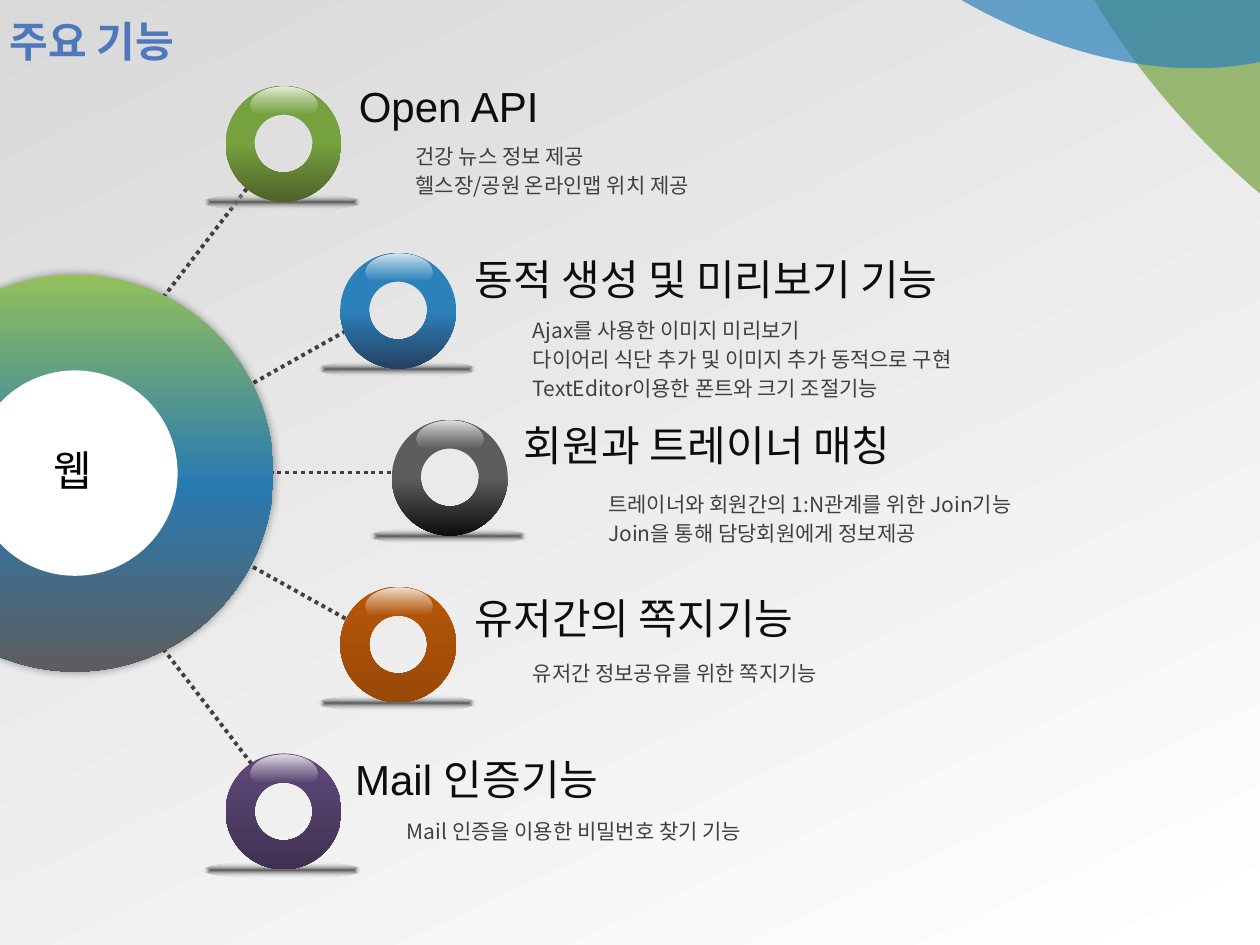
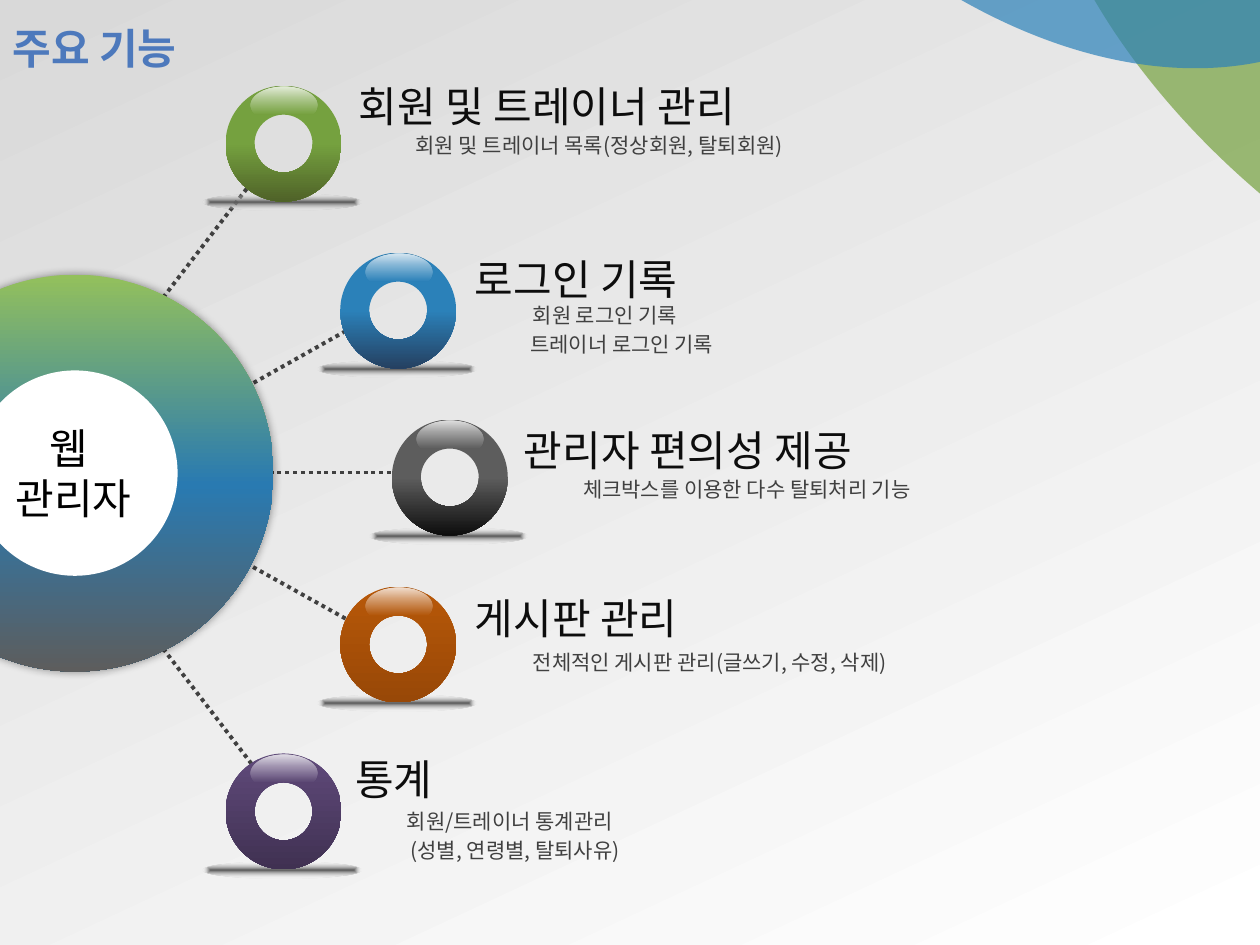
import pptx
import pptx.dml.color
import pptx.enum.dml
import pptx.enum.shapes
import pptx.enum.text
import pptx.oxml.ns
import pptx.util
from lxml import etree

Inches = pptx.util.Inches
qn = pptx.oxml.ns.qn
rgb = pptx.dml.color.RGBColor.from_string
ELLIPSE = pptx.enum.shapes.MSO_SHAPE.OVAL
DONUT = pptx.enum.shapes.MSO_SHAPE.DONUT
ALIGN = pptx.enum.text.PP_ALIGN

LATIN_FONT = "Arial"
KOREAN_FONT = "Noto Sans CJK KR"
BLACK, INK, GREY, TITLE_BLUE = "000000", "0D0D0D", "404040", "4D79BC"

# Gradient stops: position in percent, colour, opacity in percent
HUB_STOPS = [(0, "93C05C", 100), (53, "297AB1", 100), (100, "5D5D5D", 100)]
GROUND_STOPS = [(0, "595959", 100), (100, "FFFFFF", 0)]
GLOSS_STOPS = [(0, "FFFFFF", 82), (30, "FFFFFF", 44), (75, "FFFFFF", 0)]

CORNER_ELLIPSES = [
    (7.67, -2.64, 8.33, 4.95, 36.6, "75A13F"),
    (5.28, -7.65, 5.86, 8.66, 142.1, "2B81B9"),
]
SPOKES = [
    (1.22, 2.46, 2.01, 1.43),
    (1.22, 5.05, 2.01, 6.08),
    (1.85, 3.13, 2.81, 2.59),
    (2.14, 3.75, 3.33, 3.75),
    (1.9, 4.44, 2.85, 4.97),
]
# Left edge, upper colour, where the shading starts, lower colour
RINGS = [
    (1.79, "75A13F", 50, "4F6228"),
    (2.7, "2B81B9", 50, "254061"),
    (3.11, "5D5D5D", 50, "0D0D0D"),
    (2.7, "B85808", 0, "984807"),
    (1.79, "604A7B", 0, "403152"),
]
RING_TOP, RING_STEP, RING_SIZE = 0.68, 1.325, 0.92

# Text entries: left, top, width, text
SLIDES = [
    {
        "title_at": (-0.02, -0.03),
        "hub": (0.31, 3.48, 0.54, 0.5, ["웹"]),
        "headings": [
            (2.75, 0.59, 1.66, "Open API"),
            (3.67, 1.96, 4.38, "동적 생성 및 미리보기 기능"),
            (4.06, 3.28, 3.47, "회원과 트레이너 매칭"),
            (3.67, 4.65, 3.01, "유저간의 쪽지기능"),
            (2.72, 5.93, 2.32, "Mail 인증기능"),
        ],
        "details": [
            (3.2, 1.09, 1.79, "건강 뉴스 정보 제공"),
            (3.2, 1.32, 2.53, "헬스장/공원 온라인맵 위치 제공"),
            (4.13, 2.47, 2.55, "Ajax를 사용한 이미지 미리보기"),
            (4.13, 2.7, 3.99, "다이어리 식단 추가 및 이미지 추가 동적으로 구현"),
            (4.13, 2.93, 3.3, "TextEditor이용한 폰트와 크기 조절기능"),
            (4.73, 3.85, 3.69, "트레이너와 회원간의 1:N관계를 위한 Join기능"),
            (4.73, 4.08, 2.87, "Join을 통해 담당회원에게 정보제공"),
            (4.13, 5.19, 2.74, "유저간 정보공유를 위한 쪽지기능"),
            (3.13, 6.45, 3.18, "Mail 인증을 이용한 비밀번호 찾기 기능"),
        ],
        "wrapped": [],
    },
    {
        "title_at": (0, 0.02),
        "hub": (-0.02, 3.3, 1.21, 0.91, ["웹 ", "관리자"]),
        "headings": [
            (2.75, 0.59, 3.59, "회원 및 트레이너 관리"),
            (3.67, 1.96, 2, "로그인 기록"),
            (4.06, 3.32, 3.13, "관리자 편의성 제공"),
            (3.67, 4.65, 2, "게시판 관리"),
            (2.72, 5.93, 0.88, "통계"),
        ],
        "details": [
            (3.2, 1, 3.44, "회원 및 트레이너 목록(정상회원, 탈퇴회원)"),
            (4.13, 2.35, 1.5, "회원 로그인 기록"),
            (4.11, 2.58, 1.9, "트레이너 로그인 기록"),
            (4.53, 3.73, 3.13, "체크박스를 이용한 다수 탈퇴처리 기능"),
            (4.13, 5.11, 3.31, "전체적인 게시판 관리(글쓰기, 수정, 삭제)"),
            (3.13, 6.37, 2.01, "회원/트레이너 통계관리"),
        ],
        "wrapped": [(3.16, 6.6, 2.01, "(성별, 연령별, 탈퇴사유)")],
    },
]


def add_filled_shape(slide, kind, left, top, width, height, stops, radial=False):
    """Add a shape without outline; one stop gives a plain fill, more a gradient."""
    shape = slide.shapes.add_shape(
        kind, Inches(left), Inches(top), Inches(width), Inches(height))
    shape.shadow.inherit = False
    shape.line.fill.background()
    shape.fill.solid()
    shape.fill.fore_color.rgb = rgb(stops[0][1])
    properties = shape._element.spPr
    solid = properties.find(qn("a:solidFill"))
    if len(stops) == 1:
        etree.SubElement(solid[0], qn("a:alpha"), val=str(stops[0][2] * 1000))
        return shape
    gradient = etree.Element(qn("a:gradFill"), rotWithShape="1")
    stop_list = etree.SubElement(gradient, qn("a:gsLst"))
    for position, colour, opacity in stops:
        stop = etree.SubElement(stop_list, qn("a:gs"), pos=str(position * 1000))
        tone = etree.SubElement(stop, qn("a:srgbClr"), val=colour)
        etree.SubElement(tone, qn("a:alpha"), val=str(opacity * 1000))
    if radial:
        centre = etree.SubElement(gradient, qn("a:path"))
        centre.set("path", "shape")
        etree.SubElement(centre, qn("a:fillToRect"),
                         l="50000", t="50000", r="50000", b="50000")
    else:
        etree.SubElement(gradient, qn("a:lin"), ang="5400000", scaled="0")
    properties.replace(solid, gradient)
    return shape


def add_text(slide, left, top, width, height, lines, size, colour,
             font=LATIN_FONT, bold=False, align=ALIGN.LEFT, wrap=False):
    box = slide.shapes.add_textbox(
        Inches(left), Inches(top), Inches(width), Inches(height))
    frame = box.text_frame
    frame.word_wrap = wrap
    frame.auto_size = pptx.enum.text.MSO_AUTO_SIZE.SHAPE_TO_FIT_TEXT
    for index, line in enumerate(lines):
        paragraph = frame.add_paragraph() if index else frame.paragraphs[0]
        paragraph.alignment = align
        run = paragraph.add_run()
        run.text = line
        run.font.size = pptx.util.Pt(size)
        run.font.bold = bold
        run.font.name = font
        run.font.color.rgb = rgb(colour)
        etree.SubElement(run._r.get_or_add_rPr(), qn("a:ea"), typeface=KOREAN_FONT)
    return box


presentation = pptx.Presentation()
presentation.slide_width = Inches(10)
presentation.slide_height = Inches(7.5)

for content in SLIDES:
    slide = presentation.slides.add_slide(presentation.slide_layouts[6])

    # Background and corner
    background = slide.background.fill
    background.gradient()
    background.gradient_angle = 295
    for stop, colour in zip(background.gradient_stops, ["D9D9D9", "FFFFFF"]):
        stop.color.rgb = rgb(colour)
    for left, top, width, height, rotation, colour in CORNER_ELLIPSES:
        ellipse = add_filled_shape(
            slide, ELLIPSE, left, top, width, height, [(0, colour, 70)])
        ellipse.rotation = rotation

    # Dotted spokes from the hub to the rings
    for spoke in SPOKES:
        connector = slide.shapes.add_connector(
            pptx.enum.shapes.MSO_CONNECTOR.STRAIGHT, *map(Inches, spoke))
        connector.line.color.rgb = rgb(GREY)
        connector.line.width = pptx.util.Pt(2.25)
        connector.line.dash_style = pptx.enum.dml.MSO_LINE.ROUND_DOT
        etree.SubElement(connector._element.spPr, qn("a:effectLst"))

    # Hub
    hub = add_filled_shape(slide, DONUT, -0.98, 2.18, 3.15, 3.15, HUB_STOPS)
    shadow = etree.SubElement(
        hub._element.spPr.find(qn("a:effectLst")), qn("a:outerShdw"),
        blurRad=str(pptx.util.Pt(5)), dist="0", dir="0", algn="ctr", rotWithShape="0")
    shadow_colour = etree.SubElement(shadow, qn("a:srgbClr"), val=BLACK)
    etree.SubElement(shadow_colour, qn("a:alpha"), val="40000")
    add_filled_shape(slide, ELLIPSE, -0.22, 2.94, 1.63, 1.63, [(0, "FFFFFF", 100)])
    add_text(slide, *content["hub"], 24, BLACK, align=ALIGN.CENTER)

    # Rings, each with a ground shadow and a gloss
    for index, (left, upper, shade_start, lower) in enumerate(RINGS):
        top = RING_TOP + index * RING_STEP
        ring_stops = [(0, upper, 100), (100, lower, 100)]
        if shade_start:
            ring_stops.insert(1, (shade_start, upper, 100))
        add_filled_shape(slide, ELLIPSE, left - 0.18, top + 0.86, 1.26, 0.13,
                         GROUND_STOPS, radial=True)
        add_filled_shape(slide, DONUT, left, top, RING_SIZE, RING_SIZE, ring_stops)
        add_filled_shape(slide, ELLIPSE, left + 0.2, top + 0.01, 0.53, 0.29, GLOSS_STOPS)

    # Texts
    for left, top, width, text in content["headings"]:
        add_text(slide, left, top, width, 0.5, [text], 24, INK)
    for group in ("details", "wrapped"):
        for left, top, width, text in content[group]:
            add_text(slide, left, top, width, 0.3, [text], 12, GREY,
                     font=KOREAN_FONT, wrap=group == "wrapped")
    title = add_text(slide, *content["title_at"], 9.29, 0.71, ["주요 기능"], 24,
                     TITLE_BLUE, bold=True, wrap=True)
    title.text_frame.auto_size = pptx.enum.text.MSO_AUTO_SIZE.NONE
    title.text_frame.vertical_anchor = pptx.enum.text.MSO_ANCHOR.MIDDLE

presentation.save("out.pptx")
